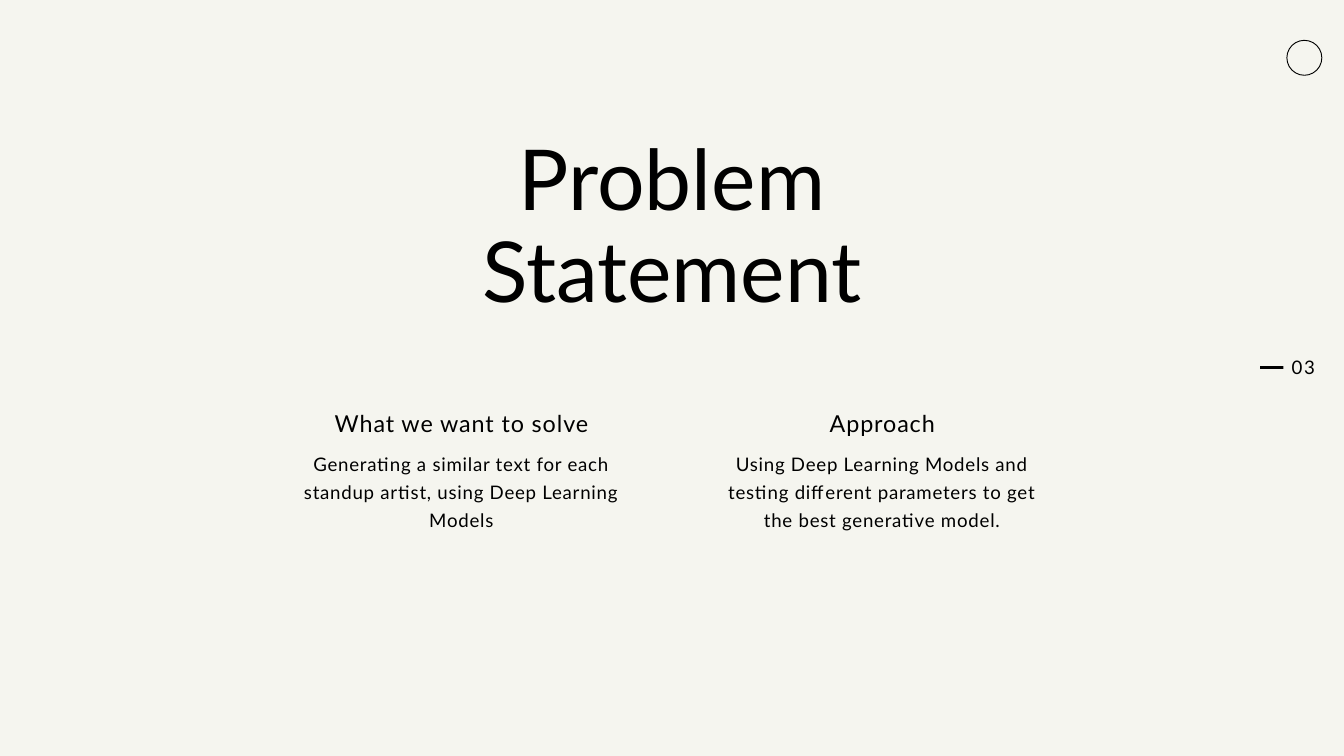
from pptx import Presentation
from pptx.dml.color import RGBColor
from pptx.enum import shapes, text
from pptx.util import Inches, Pt

COLORS = {"background": "F5F5EF", "ink": "000000"}
INK = RGBColor.from_string(COLORS["ink"])
CENTER = text.PP_ALIGN.CENTER


def write_text(shape, content, size, line_spacing, tracking=0, alignment=CENTER):
    frame = shape.text_frame
    frame.word_wrap = True
    frame.auto_size = text.MSO_AUTO_SIZE.NONE
    frame.vertical_anchor = text.MSO_ANCHOR.TOP
    frame.margin_left = frame.margin_right = frame.margin_top = frame.margin_bottom = 0
    paragraph = frame.paragraphs[0]
    paragraph.text = content
    paragraph.alignment = alignment
    paragraph.line_spacing = Pt(line_spacing)
    paragraph.font.name = "Lato"
    paragraph.font.size = Pt(size)
    paragraph.font.color.rgb = INK
    if tracking:  # letter spacing, in hundredths of a point
        paragraph.runs[0]._r.get_or_add_rPr().set("spc", str(int(tracking * 100)))


def add_text(left, top, width, height, *args, **options):
    box = slide.shapes.add_textbox(Inches(left), Inches(top), Inches(width), Inches(height))
    write_text(box, *args, **options)


presentation = Presentation()
presentation.slide_width = Inches(20)
presentation.slide_height = Inches(11.25)
slide = presentation.slides.add_slide(presentation.slide_layouts[5])
slide.background.fill.solid()
slide.background.fill.fore_color.rgb = RGBColor.from_string(COLORS["background"])

# Title
title = slide.shapes.title
title.left, title.top = Inches(6.09), Inches(2)
title.width, title.height = Inches(7.82), Inches(2.77)
write_text(title, "Problem Statement", 90, 99)

# Ring in the corner
ring = slide.shapes.add_shape(
    shapes.MSO_SHAPE.OVAL, Inches(19.15), Inches(0.6), Inches(0.52), Inches(0.52))
ring.shadow.inherit = False
ring.fill.background()
ring.line.color.rgb = INK
ring.line.width = Pt(1)

# Page number with its dash
dash = slide.shapes.add_shape(
    shapes.MSO_SHAPE.RECTANGLE, Inches(18.75), Inches(5.45), Inches(0.35), Inches(0.04))
dash.shadow.inherit = False
dash.fill.solid()
dash.fill.fore_color.rgb = INK
dash.line.fill.background()
add_text(19.07, 5.29, 0.5, 0.34, "03", 20, 24, tracking=2, alignment=text.PP_ALIGN.RIGHT)

# Two columns, each a heading centred over its body
columns = [
    (4.47, "What we want to solve",
     "Generating a similar text for each standup artist, using Deep Learning Models"),
    (10.73, "Approach",
     "Using Deep Learning Models and testing different parameters to get "
     "the best generative model."),
]
for left, heading, body in columns:
    add_text(left + 0.25, 6.06, 4.3, 0.42, heading, 25, 32.5, tracking=1)
    add_text(left, 6.66, 4.79, 1.22, body, 20, 30, tracking=0.8)

presentation.save("out.pptx")
